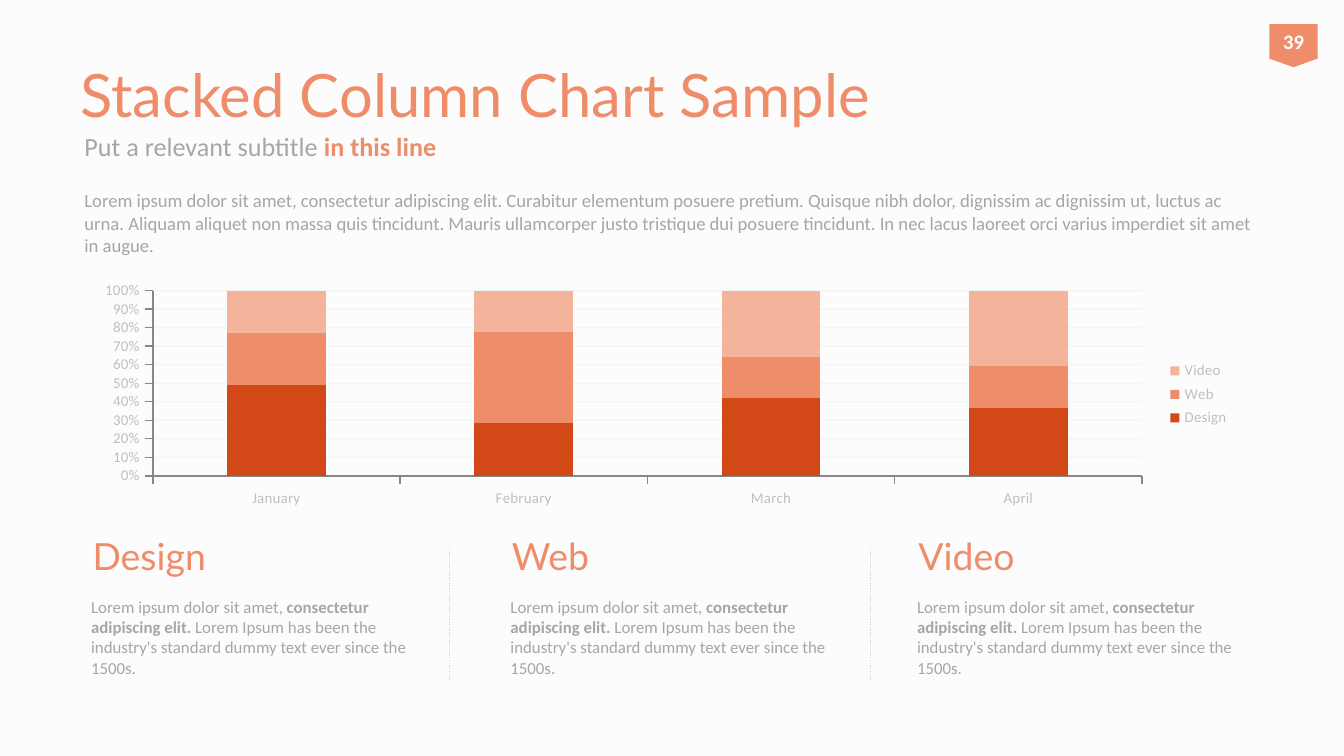
from lxml.etree import SubElement
from pptx import Presentation
from pptx.chart.data import CategoryChartData
from pptx.dml.color import RGBColor
from pptx.enum.chart import XL_CHART_TYPE, XL_LEGEND_POSITION, XL_TICK_MARK
from pptx.enum.dml import MSO_LINE
from pptx.enum.shapes import MSO_CONNECTOR, MSO_SHAPE
from pptx.enum.text import MSO_ANCHOR, PP_ALIGN
from pptx.oxml.ns import qn
from pptx.util import Pt

PX = 4572  # EMU per px, 200 px to the inch


def emu(*lengths):
    return [length * PX for length in lengths]


def color(hex_string):
    return RGBColor.from_string(hex_string)


class SlideBuilder:
    HEADING, BODY = "Lato", "Calibri"
    ACCENT, DARK, LIGHT = "EF8C6A", "D34817", "F4B39B"
    GRAY, LABEL, RULE, GRID = "A6A6A6", "BFBFBF", "D9D9D9", "808080"
    PAPER, WHITE = "FCFCFC", "FFFFFF"

    def __init__(self, deck):
        self.page = deck.slides.add_slide(deck.slide_layouts[6])
        fill = self.page.background.fill
        fill.solid()
        fill.fore_color.rgb = color(self.PAPER)

    def style(self, font, name, size, tint):
        font.name, font.size = name, Pt(size)
        font.color.rgb = color(tint)

    def text(self, at, spans, size, name=BODY, tint=GRAY, anchor=MSO_ANCHOR.TOP):
        """Each span is (text, bold, colour); None keeps the paragraph's colour."""
        frame = self.page.shapes.add_textbox(*emu(*at)).text_frame
        frame.word_wrap = True
        frame.vertical_anchor = anchor
        para = frame.paragraphs[0]
        self.style(para.font, name, size, tint)
        for words, bold, span_tint in spans:
            span = para.add_run()
            span.text = words
            if bold:
                span.font.bold = True
            if span_tint:
                span.font.color.rgb = color(span_tint)

    def heading(self, at, words, size):
        self.text(at, [(words, False, None)], size, self.HEADING, self.ACCENT, MSO_ANCHOR.MIDDLE)

    def divider(self, x, top, bottom):
        rule = self.page.shapes.add_connector(MSO_CONNECTOR.STRAIGHT, *emu(x, top, x, bottom))
        rule.line.color.rgb = color(self.RULE)
        rule.line.width = Pt(0.75)
        rule.line.dash_style = MSO_LINE.ROUND_DOT
        SubElement(rule._element.spPr, qn("a:effectLst"))

    def badge(self, at, words):
        shape = self.page.shapes.add_shape(MSO_SHAPE.FLOWCHART_OFFPAGE_CONNECTOR, *emu(*at))
        shape.shadow.inherit = False
        shape.fill.solid()
        shape.fill.fore_color.rgb = color(self.ACCENT)
        shape.line.fill.background()
        frame = shape.text_frame
        frame.margin_left = frame.margin_right = 0
        frame.margin_top = frame.margin_bottom = 0
        frame.vertical_anchor = MSO_ANCHOR.MIDDLE
        para = frame.paragraphs[0]
        para.text = words
        para.alignment = PP_ALIGN.CENTER
        self.style(para.font, self.BODY, 11, self.WHITE)
        para.font.bold = True

    def stacked_chart(self, at, categories, series):
        """Each series is (name, values, colour)."""
        data = CategoryChartData()
        data.categories = categories
        for name, values, _ in series:
            data.add_series(name, values)
        chart = self.page.shapes.add_chart(
            XL_CHART_TYPE.COLUMN_STACKED_100, *emu(*at), data).chart
        self.style(chart.font, self.BODY, 8, self.LABEL)
        chart.has_title = False
        chart.has_legend = True
        chart.legend.position = XL_LEGEND_POSITION.RIGHT
        chart.legend.include_in_layout = False

        # Columns
        plot = chart.plots[0]
        plot.gap_width, plot.overlap = 150, 100
        plot.vary_by_categories = False
        for column, (_, _, tint) in zip(plot.series, series):
            column.format.fill.solid()
            column.format.fill.fore_color.rgb = color(tint)

        # Axes and faint gridlines
        for axis in (chart.category_axis, chart.value_axis):
            axis.major_tick_mark = XL_TICK_MARK.OUTSIDE
            axis.minor_tick_mark = XL_TICK_MARK.NONE
        scale = chart.value_axis
        scale.tick_labels.number_format = "0%"
        scale.tick_labels.number_format_is_linked = False
        scale.has_major_gridlines = True
        grid = scale.major_gridlines.format.line
        grid.color.rgb = color(self.GRID)
        grid.width = Pt(0.75)
        for tint in scale.major_gridlines._xAx.iterfind(
                f"{qn('c:majorGridlines')}//{qn('a:srgbClr')}"):
            SubElement(tint, qn("a:alpha"), val="6000")


def main():
    deck = Presentation()
    deck.slide_width, deck.slide_height = emu(2000, 1125)
    slide = SlideBuilder(deck)

    # Title, subtitle and introduction
    slide.heading((100, 46, 1800, 188), "Stacked Column Chart Sample", 32)
    slide.text((106, 178, 1800, 80), [("Put a relevant subtitle ", False, None),
                                      ("in this line", True, slide.ACCENT)],
               14, anchor=MSO_ANCHOR.MIDDLE)
    slide.text((106, 272, 1776, 134), [(
        "Lorem ipsum dolor sit amet, consectetur adipiscing elit. Curabitur elementum "
        "posuere pretium. Quisque nibh dolor, dignissim ac dignissim ut, luctus ac urna. "
        "Aliquam aliquet non massa quis tincidunt. Mauris ullamcorper justo tristique dui "
        "posuere tincidunt. In nec lacus laoreet orci varius imperdiet sit amet in augue.",
        False, None)], 10)

    # Chart
    slide.stacked_chart((122, 412, 1728, 350), ["January", "February", "March", "April"], [
        ("Design", (49, 28, 42, 37), slide.DARK),
        ("Web", (28, 49, 22, 23), slide.ACCENT),
        ("Video", (23, 22, 36, 41), slide.LIGHT),
    ])

    # Three columns of notes with dividers between them
    for left, name in ((116, "Design"), (740, "Web"), (1345, "Video")):
        slide.heading((left + 2, 768, 504, 116), name, 20)
        slide.text((left, 878, 520, 160), [
            ("Lorem ipsum dolor sit amet, ", False, None),
            ("consectetur adipiscing elit. ", True, None),
            ("Lorem Ipsum has been the industry's standard dummy text ever since the 1500s.",
             False, None)], 9)
    for x in (669, 1295):
        slide.divider(x, 814, 1014)

    # Page number
    slide.badge((1889, 36, 72, 64), "39")

    deck.save("out.pptx")


if __name__ == "__main__":
    main()
